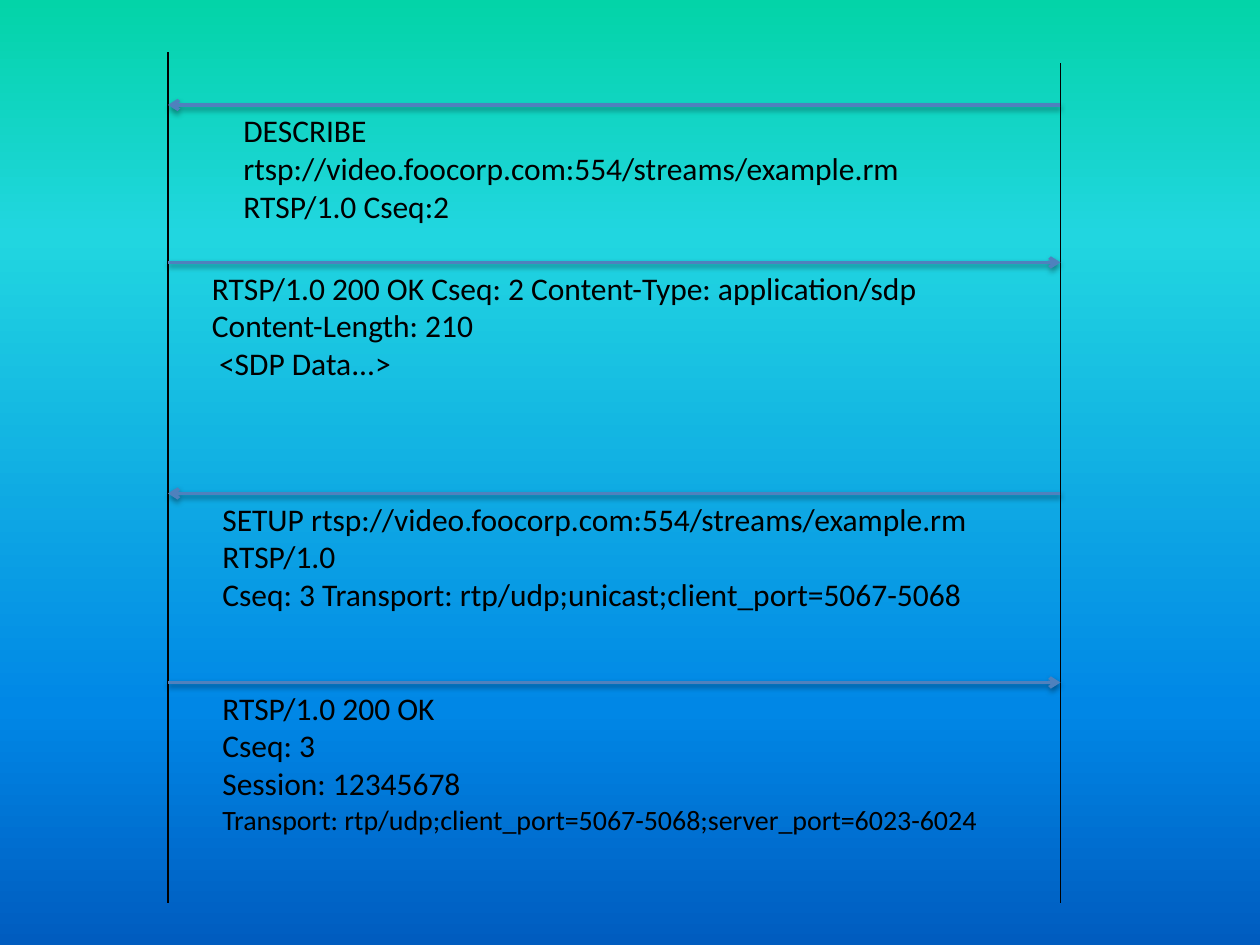
from lxml import etree
from pptx import Presentation
from pptx.dml.color import RGBColor
from pptx.enum.shapes import MSO_CONNECTOR
from pptx.enum.text import MSO_AUTO_SIZE
from pptx.oxml import parse_xml
from pptx.oxml.ns import nsdecls, qn
from pptx.util import Pt

STRAIGHT = MSO_CONNECTOR.STRAIGHT
GROW = MSO_AUTO_SIZE.SHAPE_TO_FIT_TEXT

THEME = {
    "font": "Calibri",
    "size": 18,
    "small": 16,
    "ink": "000000",
    "arrow": "4F81BD",
    "background": [(0, "03D4A8"), (25, "21D6E0"), (75, "0087E6"), (100, "005CBF")],
}

SERVER_X, CLIENT_X = 96, 606
LIFELINES = [(SERVER_X, 30), (CLIENT_X, 36)]  # x, top
LIFELINE_BOTTOM = 516
LINE_SPACING = 1.2

# Each message: height on the lifelines, direction, text left, text width,
# number of displayed lines, paragraphs with their sizes.
MESSAGES = [
    (60, "to server", 132, 438, 3, [
        ("DESCRIBE rtsp://video.foocorp.com:554/streams/example.rm RTSP/1.0 Cseq:2", "size"),
    ]),
    (150, "to client", 114, 480, 3, [
        ("RTSP/1.0 200 OK Cseq: 2 Content-Type: application/sdp Content-Length: 210", "size"),
        (" <SDP Data...>", "size"),
    ]),
    (282, "to server", 120, 474, 3, [
        ("SETUP rtsp://video.foocorp.com:554/streams/example.rm RTSP/1.0", "size"),
        ("Cseq: 3 Transport: rtp/udp;unicast;client_port=5067-5068", "size"),
    ]),
    (390, "to client", 120, 462, 4, [
        ("RTSP/1.0 200 OK", "size"),
        ("Cseq: 3", "size"),
        ("Session: 12345678", "size"),
        ("Transport: rtp/udp;client_port=5067-5068;server_port=6023-6024", "small"),
    ]),
]

SHADOW = (
    f'<a:effectLst {nsdecls("a")}>'
    '<a:outerShdw blurRad="40000" dist="20000" dir="5400000" rotWithShape="0">'
    '<a:srgbClr val="000000"><a:alpha val="38000"/></a:srgbClr>'
    '</a:outerShdw></a:effectLst>'
)
NO_SHADOW = f'<a:effectLst {nsdecls("a")}/>'


def paint_background(slide):
    fill = slide.background.fill
    fill.gradient()
    fill.gradient_angle = 270  # counter-clockwise, so top to bottom
    stops = next(slide.element.iter(qn("a:gsLst")))
    for stop in list(stops):
        stops.remove(stop)
    for percent, color in THEME["background"]:
        stop = etree.SubElement(stops, qn("a:gs"), pos=str(percent * 1000))
        etree.SubElement(stop, qn("a:srgbClr"), val=color)


def add_line(slide, start, end, color, width, arrow=False):
    line = slide.shapes.add_connector(STRAIGHT, *map(Pt, start + end))
    line.line.color.rgb = RGBColor.from_string(color)
    line.line.width = Pt(width)
    if arrow:
        etree.SubElement(line.line._get_or_add_ln(), qn("a:tailEnd"), type="arrow")
    line._element.spPr.append(parse_xml(SHADOW if arrow else NO_SHADOW))


def add_text(slide, paragraphs, *, left, top, width, height, color):
    frame = slide.shapes.add_textbox(*map(Pt, (left, top, width, height))).text_frame
    frame.word_wrap = True
    frame.auto_size = GROW
    for index, (text, size) in enumerate(paragraphs):
        paragraph = frame.add_paragraph() if index else frame.paragraphs[0]
        run = paragraph.add_run()
        run.text = text
        run.font.name = THEME["font"]
        run.font.size = Pt(THEME[size])
        run.font.color.rgb = RGBColor.from_string(color)


def main():
    deck = Presentation()
    deck.slide_width, deck.slide_height = Pt(720), Pt(540)
    slide = deck.slides.add_slide(deck.slide_layouts[6])
    paint_background(slide)

    for x, top in LIFELINES:
        add_line(slide, (x, top), (x, LIFELINE_BOTTOM), THEME["ink"], 0.75)

    for y, direction, left, width, line_count, paragraphs in MESSAGES:
        ends = [(SERVER_X, y), (CLIENT_X, y)]
        if direction == "to server":
            ends.reverse()
        add_line(slide, *ends, THEME["arrow"], 2, arrow=True)
        height = line_count * THEME["size"] * LINE_SPACING + 7.2
        add_text(slide, paragraphs, left=left, top=y, width=width,
                 height=height, color=THEME["ink"])

    deck.save("out.pptx")


if __name__ == "__main__":
    main()
